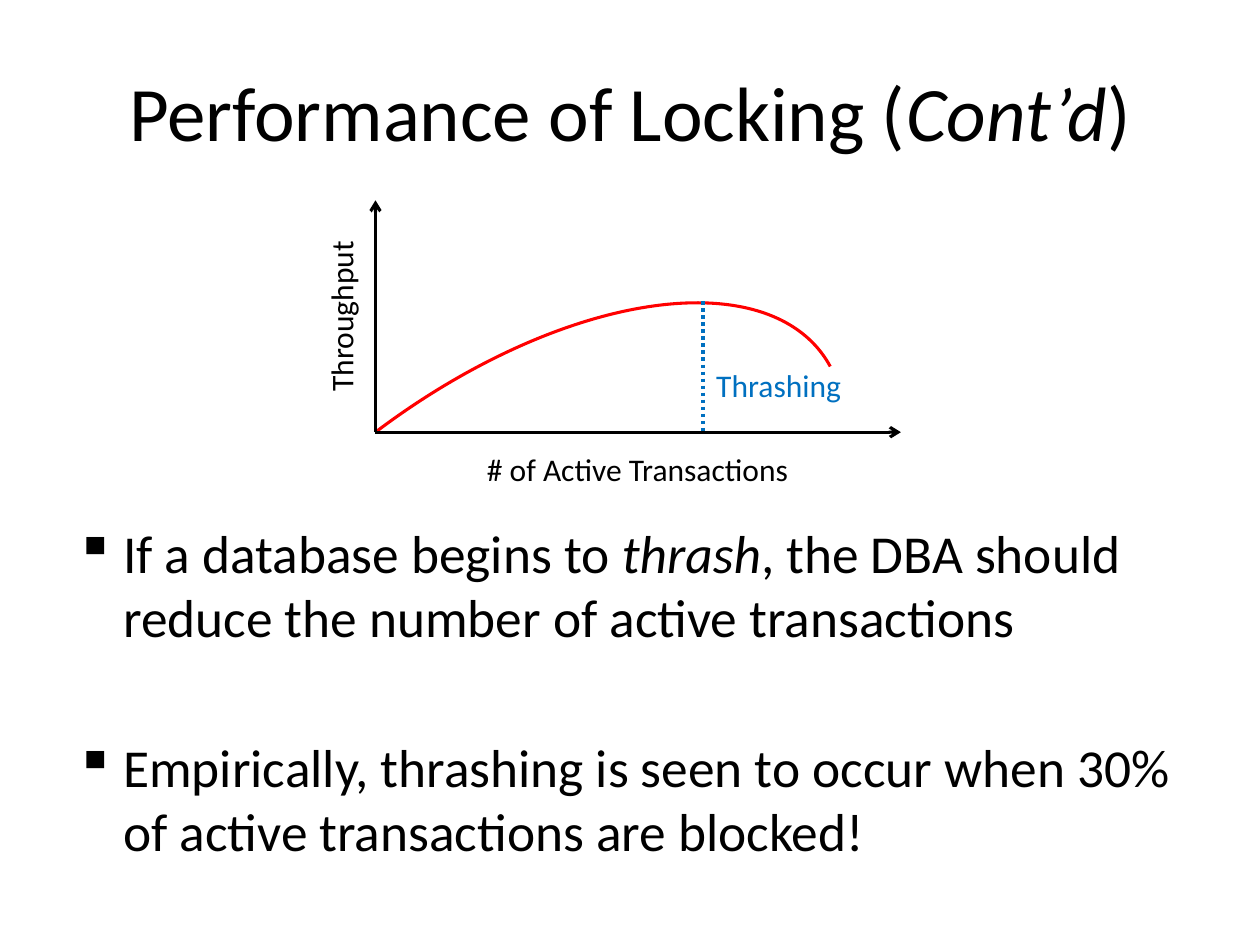
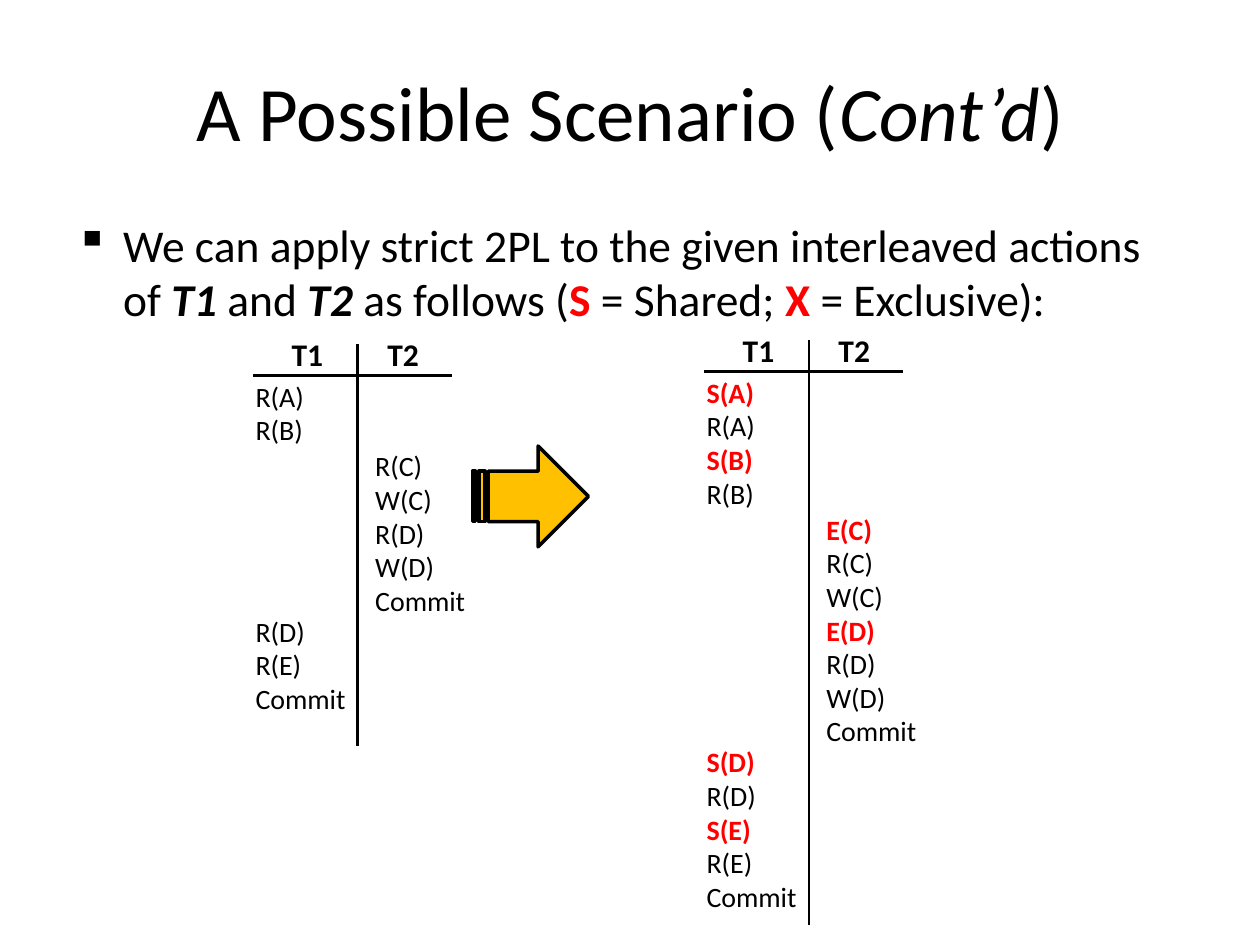
"""Two slides on lock thrashing and on applying strict 2PL."""
from dataclasses import dataclass

from lxml.etree import SubElement
from pptx import Presentation
from pptx.dml.color import RGBColor as Rgb
from pptx.enum.dml import MSO_LINE as Dash
from pptx.enum.shapes import MSO_CONNECTOR as Link, MSO_SHAPE as Preset
from pptx.enum.text import MSO_ANCHOR as Anchor, PP_ALIGN as Align
from pptx.oxml.ns import qn
from pptx.presentation import Presentation as Deck
from pptx.slide import Slide
from pptx.text.text import Font, TextFrame, _Paragraph as Paragraph
from pptx.util import Inches, Length, Pt

COLORS = {"ink": "000000", "red": "FF0000", "blue": "0070C0", "amber": "FFC000"}
FACE = "Calibri"
COLUMNS, ROWS = 100, 75
STEP_SIZE = 16
STEP_ROWS = STEP_SIZE * 1.2 / 7.2


@dataclass(frozen=True)
class Span:
    """A stretch of text with its emphasis."""
    text: str
    bold: bool = False
    italic: bool = False
    color: str = "ink"


@dataclass(frozen=True)
class Label:
    """A short caption centred on a grid point."""
    text: str
    x: float
    y: float
    color: str = "ink"
    bold: bool = False
    turn: float = 0


@dataclass(frozen=True)
class Stroke:
    """A straight line between two grid points."""
    start: tuple[float, float]
    end: tuple[float, float]
    weight: float = 1.5
    color: str = "ink"
    arrow: bool = False
    dotted: bool = False


@dataclass(frozen=True)
class Turn:
    """Consecutive steps of one transaction; locks are marked red."""
    transaction: int
    steps: str


@dataclass(frozen=True)
class Schedule:
    """An interleaving, placed where its divider meets its rule."""
    x: float
    y: float
    depth: float
    turns: tuple[Turn, ...]


CONTINUED = (Span("Cont’d", italic=True), Span(")"))

THRASH_POINTS = (
    (Span("If a database begins to "), Span("thrash", italic=True),
     Span(", the DBA should reduce the number of active transactions")),
    (Span("Empirically, thrashing is seen to occur when 30% "
          "of active transactions are blocked!"),),
)
SCENARIO_POINTS = ((
    Span("We can apply strict 2PL to the given interleaved actions of "),
    Span("T1", bold=True, italic=True), Span(" and "),
    Span("T2", bold=True, italic=True), Span(" as follows ("),
    Span("S", bold=True, color="red"), Span(" = Shared; "),
    Span("X", bold=True, color="red"), Span(" = Exclusive):"),
),)

ORIGIN = (29.8, 34.3)
PLOT_STROKES = (
    Stroke(ORIGIN, (71.5, 34.3), 1.75, arrow=True),
    Stroke(ORIGIN, (29.8, 15.9), 1.75, arrow=True),
    Stroke((55.8, 23.9), (55.8, 34.3), 2, "blue", dotted=True),
)
PLOT_LABELS = (
    Label("# of Active Transactions", 50.6, 37.2),
    Label("Throughput", 27.05, 25.1, turn=270),
    Label("Thrashing", 61.8, 30.6, "blue"),
)

SCHEDULES = (
    Schedule(28.4, 29.8, 29.4, (
        Turn(0, "R(A) R(B)"),
        Turn(1, "R(C) W(C) R(D) W(D) Commit"),
        Turn(0, "R(D) R(E) Commit"))),
    Schedule(64.2, 29.5, 43.9, (
        Turn(0, "S(A) R(A) S(B) R(B)"),
        Turn(1, "E(C) R(C) W(C) E(D) R(D) W(D) Commit"),
        Turn(0, "S(D) R(D) S(E) R(E) Commit"))),
)


def cells(count: float) -> Length:
    """Turn a count of grid cells into a length."""
    return Inches(count / 10)


def paint(font: Font, color: str) -> None:
    """Colour a font from the palette."""
    font.color.rgb = Rgb.from_string(COLORS[color])


def set_font(paragraph: Paragraph, size: float, color: str = "ink",
             bold: bool = False) -> None:
    """Format a whole paragraph."""
    font = paragraph.font
    font.name, font.size, font.bold = FACE, Pt(size), bold
    paint(font, color)


def add_spans(paragraph: Paragraph, spans: tuple[Span, ...]) -> None:
    """Write spans, formatting only the emphasised ones."""
    for span in spans:
        run = paragraph.add_run()
        run.text = span.text
        if span.bold:
            run.font.bold = True
        if span.italic:
            run.font.italic = True
        if span.color != "ink":
            paint(run.font, span.color)


def add_frame(slide: Slide, x: float, y: float, width: float, height: float,
              turn: float = 0) -> TextFrame:
    """Add a wrapping text box and return its frame."""
    box = slide.shapes.add_textbox(*map(cells, (x, y, width, height)))
    box.rotation = turn
    box.text_frame.word_wrap = True
    return box.text_frame


def add_titled_slide(deck: Deck, topic: str) -> Slide:
    """Add a slide with the shared title style."""
    slide = deck.slides.add_slide(deck.slide_layouts[5])
    title = slide.shapes.title
    title.left, title.top, title.width, title.height = map(cells, (5, 2.5, 90, 12.5))
    title.text_frame.vertical_anchor = Anchor.MIDDLE
    heading = title.text_frame.paragraphs[0]
    heading.alignment = Align.CENTER
    set_font(heading, 44)
    add_spans(heading, (Span(f"{topic} ("), *CONTINUED))
    return slide


def add_points(slide: Slide, y: float, height: float, size: float,
               points: tuple[tuple[Span, ...], ...]) -> None:
    """Add square-bulleted paragraphs across the content width."""
    frame = add_frame(slide, 5, y, 90, height)
    for index, spans in enumerate(points):
        point = frame.add_paragraph() if index else frame.paragraphs[0]
        properties = point._p.get_or_add_pPr()
        hanging = Inches(0.38)
        properties.set("marL", str(hanging))
        properties.set("indent", str(-hanging))
        SubElement(properties, qn("a:buChar")).set("char", "▪")
        if index:
            point.space_before = Pt(size * 1.6)
        set_font(point, size)
        add_spans(point, spans)


def add_label(slide: Slide, label: Label) -> None:
    """Add a caption around its centre."""
    width, height = 30 if len(label.text) > 12 else 16, 4
    frame = add_frame(slide, label.x - width / 2, label.y - height / 2,
                      width, height, label.turn)
    caption = frame.paragraphs[0]
    caption.text = label.text
    caption.alignment = Align.CENTER
    set_font(caption, 18, label.color, label.bold)


def add_stroke(slide: Slide, stroke: Stroke) -> None:
    """Draw a line, with an arrowhead or dots if asked."""
    connector = slide.shapes.add_connector(
        Link.STRAIGHT, *map(cells, (*stroke.start, *stroke.end)))
    line = connector.line
    line.color.rgb = Rgb.from_string(COLORS[stroke.color])
    line.width = Pt(stroke.weight)
    if stroke.dotted:
        line.dash_style = Dash.ROUND_DOT
    properties = connector._element.spPr
    if stroke.arrow:
        SubElement(properties.find(qn("a:ln")), qn("a:tailEnd")).set("type", "arrow")
    SubElement(properties, qn("a:effectLst"))


def add_throughput_curve(slide: Slide) -> None:
    """Draw the rise and fall of throughput as a tilted arc."""
    curve = slide.shapes.add_shape(Preset.ARC, *map(cells, (7.6, 31, 64.1, 32.7)))
    curve.adjustments[0], curve.adjustments[1] = 162, 1.36
    curve.rotation = 322.9
    curve.shadow.inherit = False
    curve.fill.background()
    curve.line.color.rgb = Rgb.from_string(COLORS["red"])
    curve.line.width = Pt(1.75)


def add_schedule(slide: Slide, schedule: Schedule) -> None:
    """Draw the divider, the rule, the headings and the steps in time order."""
    x, y = schedule.x, schedule.y
    add_stroke(slide, Stroke((x, y - 2.5), (x, y + schedule.depth)))
    add_stroke(slide, Stroke((x - 8.3, y), (x + 7.5, y)))
    for name, offset in (("T1", -4), ("T2", 3.6)):
        add_label(slide, Label(name, x + offset, y - 1.7, bold=True))
    elapsed = 0
    for turn in schedule.turns:
        steps = turn.steps.split()
        left, top = ((x - 9.1, y - 0.2), (x + 0.4, y))[turn.transaction]
        frame = add_frame(slide, left, top + elapsed * STEP_ROWS,
                          11, len(steps) * STEP_ROWS + 1)
        for index, action in enumerate(steps):
            step = frame.add_paragraph() if index else frame.paragraphs[0]
            step.text = action
            is_lock = action[0] in "SE"
            set_font(step, STEP_SIZE, "red" if is_lock else "ink", is_lock)
        elapsed += len(steps)


def add_transition(slide: Slide) -> None:
    """Draw the arrow from the plain schedule to the locked one."""
    arrow = slide.shapes.add_shape(Preset.STRIPED_RIGHT_ARROW,
                                   *map(cells, (37.5, 35.4, 9.2, 8)))
    arrow.shadow.inherit = False
    arrow.fill.solid()
    arrow.fill.fore_color.rgb = Rgb.from_string(COLORS["amber"])
    arrow.line.color.rgb = Rgb.from_string(COLORS["ink"])
    arrow.line.width = Pt(2)


def build_performance(deck: Deck) -> None:
    """Build the throughput slide."""
    slide = add_titled_slide(deck, "Performance of Locking")
    add_points(slide, 40.8, 30, 30.5, THRASH_POINTS)
    add_throughput_curve(slide)
    for stroke in PLOT_STROKES:
        add_stroke(slide, stroke)
    for label in PLOT_LABELS:
        add_label(slide, label)


def build_scenario(deck: Deck) -> None:
    """Build the schedule slide."""
    slide = add_titled_slide(deck, "A Possible Scenario")
    add_points(slide, 16.7, 10, 26, SCENARIO_POINTS)
    for schedule in SCHEDULES:
        add_schedule(slide, schedule)
    add_transition(slide)


def main() -> None:
    """Build and save the deck."""
    deck = Presentation()
    deck.slide_width, deck.slide_height = cells(COLUMNS), cells(ROWS)
    build_performance(deck)
    build_scenario(deck)
    deck.save("out.pptx")


if __name__ == "__main__":
    main()
